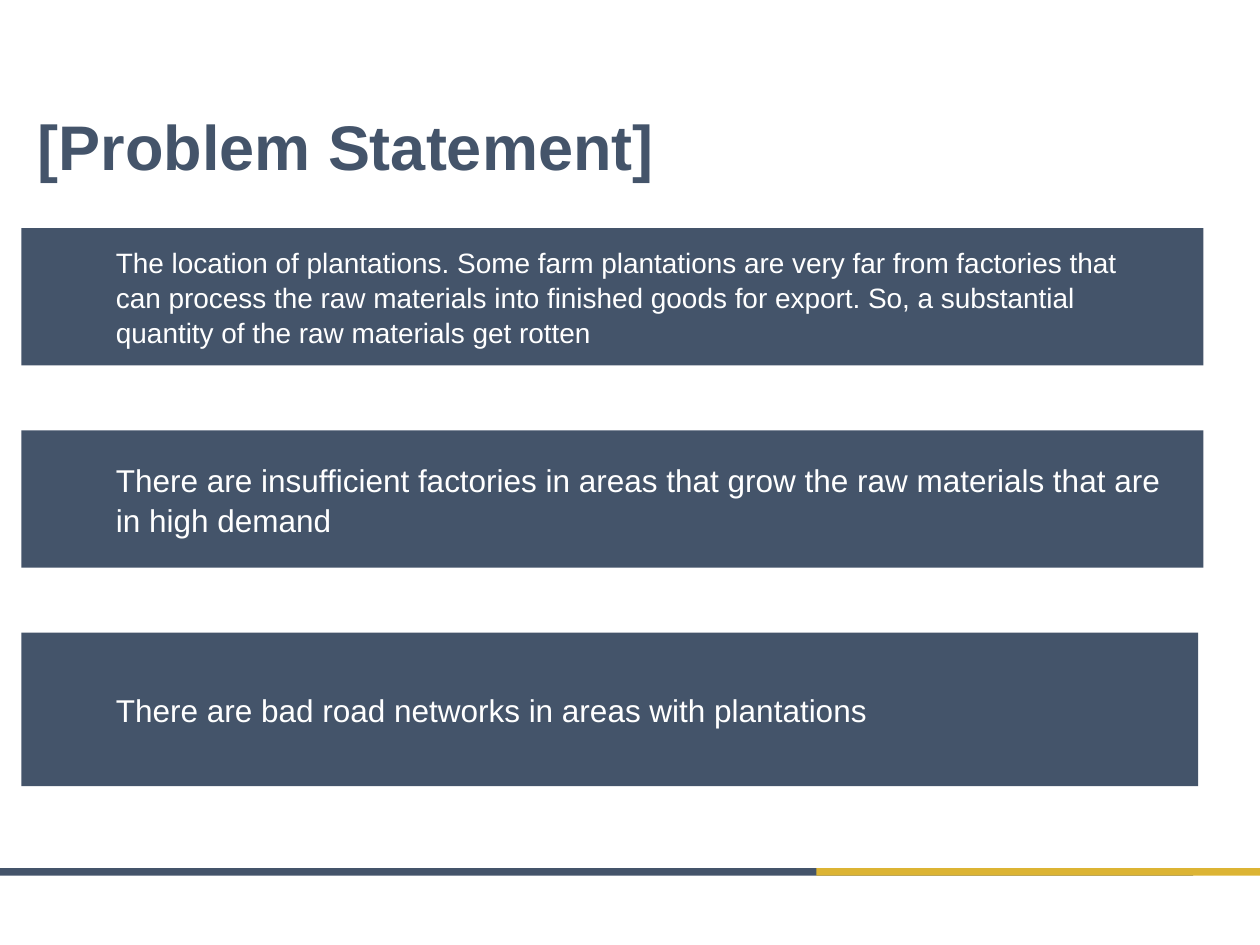
import pptx
import pptx.util
import pptx.dml.color
import pptx.enum.shapes
import pptx.enum.text

Inches = pptx.util.Inches
Pt = pptx.util.Pt
RGBColor = pptx.dml.color.RGBColor
MSO_ANCHOR = pptx.enum.text.MSO_ANCHOR
PP_ALIGN = pptx.enum.text.PP_ALIGN

SLATE = RGBColor(0x44, 0x54, 0x6A)
GOLD = RGBColor(0xDC, 0xB4, 0x34)
WHITE = RGBColor(0xFF, 0xFF, 0xFF)

# Width, height, text size and wording of each problem
PROBLEMS = [
    (9.38, 1.09, 16, "The location of plantations. Some farm plantations are very far "
     "from factories that can process the raw materials into finished goods for export. "
     "So, a substantial quantity of the raw materials get rotten"),
    (9.38, 1.09, 18, "There are insufficient factories in areas that grow the raw "
     "materials that are in high demand"),
    (9.34, 1.22, 18, "There are bad road networks in areas with plantations"),
]
GAP = 0.515


def add_bar(s, left, top, width, height, color):
    sp = s.shapes.add_shape(pptx.enum.shapes.MSO_SHAPE.RECTANGLE, Inches(left),
                            Inches(top), Inches(width), Inches(height))
    sp.shadow.inherit = False
    sp.fill.solid()
    sp.fill.fore_color.rgb = color
    sp.line.fill.background()
    return sp


def set_text(sp, text, size, color, bold=False, left=0.1, right=0.1):
    tf = sp.text_frame
    tf.text = text
    tf.word_wrap = True
    tf.auto_size = pptx.enum.text.MSO_AUTO_SIZE.NONE
    tf.vertical_anchor = MSO_ANCHOR.MIDDLE
    tf.margin_left, tf.margin_right = Inches(left), Inches(right)
    tf.margin_top = tf.margin_bottom = Inches(0.05)
    p = tf.paragraphs[0]
    p.alignment = PP_ALIGN.LEFT
    p.font.name = "Arial"
    p.font.size = Pt(size)
    p.font.bold = bold
    p.font.color.rgb = color
    return p


def add_footer(s, top, height):
    add_bar(s, 0, top, 9.47, height, SLATE)
    add_bar(s, 6.48, top, 3.52, height, GOLD)


def add_problems(s, left, top):
    for width, height, size, text in PROBLEMS:
        sp = add_bar(s, left, top, width, height, SLATE)
        p = set_text(sp, text, size, WHITE, left=0.75, right=0.28)
        p.line_spacing = 1.05
        top += height + GAP


def add_title(s, left, top, width, height):
    sp = s.shapes.title
    sp.left, sp.top = Inches(left), Inches(top)
    sp.width, sp.height = Inches(width), Inches(height)
    set_text(sp, "[Problem Statement]", 36, SLATE, bold=True)


def main():
    prs = pptx.Presentation()
    prs.slide_width, prs.slide_height = Inches(10), Inches(7.5)
    s = prs.slides.add_slide(prs.slide_layouts[5])  # Title Only

    add_footer(s, 6.89, 0.06)
    add_problems(s, 0.17, 1.81)
    add_title(s, 0.2, 0.88, 8.9, 0.54)

    prs.save("out.pptx")


if __name__ == "__main__":
    main()
